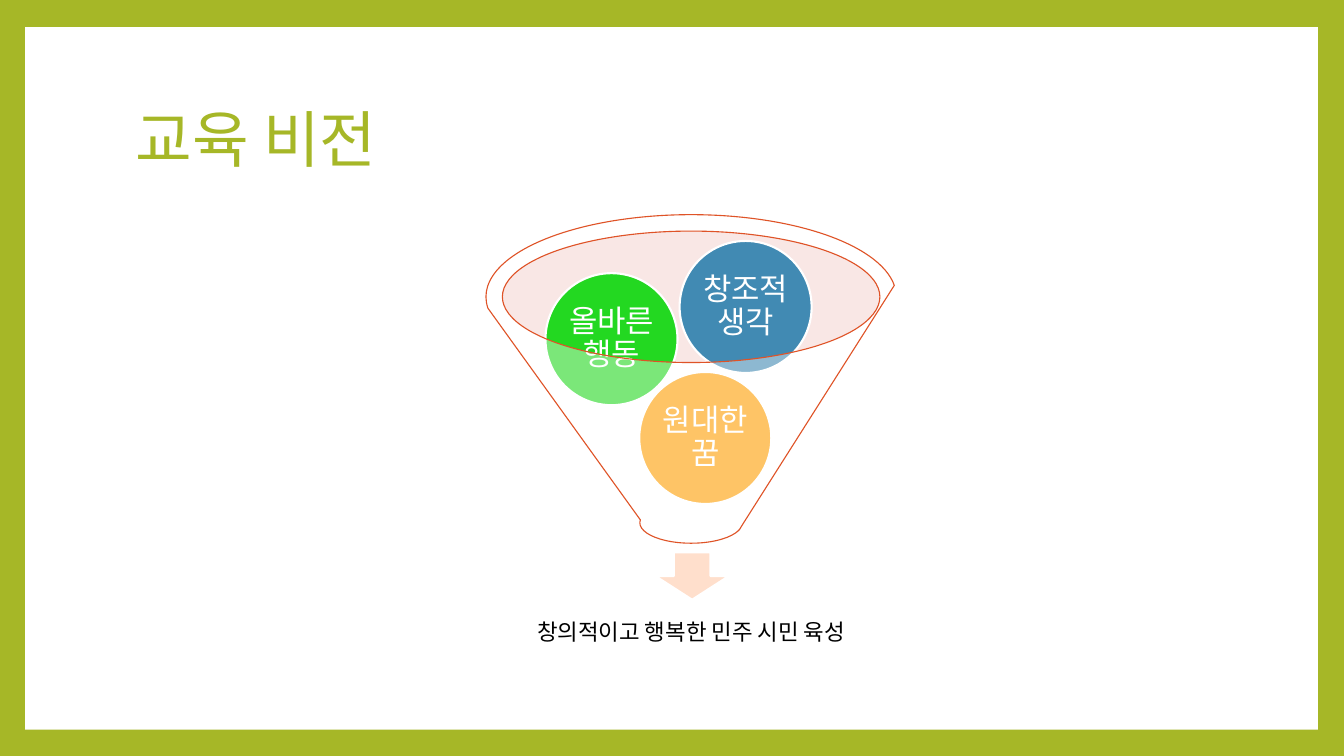
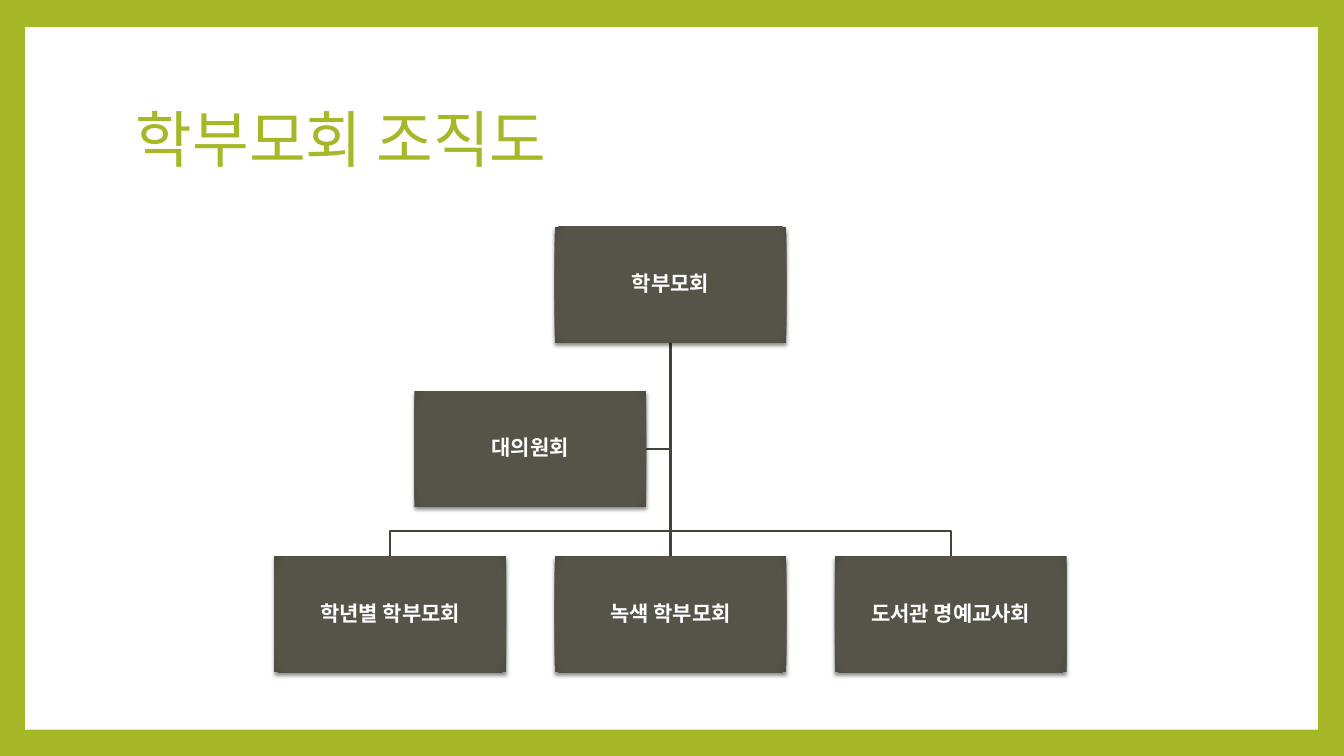
"""Build two school slides: the education vision funnel and the parents' association chart."""
from lxml import etree
from pptx import Presentation
from pptx import util as u
from pptx.dml.color import RGBColor
from pptx.enum import shapes, text
from pptx.oxml import ns, parse_xml


class Theme:
    font = "Noto Sans CJK KR"
    green, white, black = "A6B727", "FFFFFF", "000000"
    rose, peach, rust = "F0C3BE", "FFDFCC", "DF5327"
    gold, lime, blue = "FE9E00", "23D821", "418AB3"
    slate, edge, wire = "565349", "4F4C41", "45423A"
    head, ball, goal, box = 44, 22, 16, 15
    thin, rule = 0.79, 1.5


def write(shape, words, size, color, align=text.PP_ALIGN.CENTER, inset=0.03, bold=False):
    frame = shape.text_frame
    frame.word_wrap = True
    frame.vertical_anchor = text.MSO_ANCHOR.MIDDLE
    if inset is not None:
        frame.margin_left = frame.margin_right = u.Inches(inset)
        frame.margin_top = frame.margin_bottom = u.Inches(inset)
    para = frame.paragraphs[0]
    para.alignment = align
    para.line_spacing = 0.9
    run = para.add_run()
    run.text = words
    run.font.size = u.Pt(size)
    run.font.bold = bold
    run.font.color.rgb = RGBColor.from_string(color)
    run.font.name = Theme.font
    etree.SubElement(run._r.get_or_add_rPr(), ns.qn("a:ea"), typeface=Theme.font)


def draw(slide, kind, place, fill, line=None, width=Theme.rule, alpha=None):
    shape = slide.shapes.add_shape(kind, *map(u.Inches, place))
    shape.shadow.inherit = False
    shape.fill.solid()
    shape.fill.fore_color.rgb = RGBColor.from_string(fill)
    if alpha:
        tint = shape._element.spPr.find(".//" + ns.qn("a:srgbClr"))
        etree.SubElement(tint, ns.qn("a:alpha"), val=str(alpha * 1000))
    if line:
        shape.line.color.rgb = RGBColor.from_string(line)
        shape.line.width = u.Pt(width)
    else:
        shape.line.fill.background()
    return shape


kinds = shapes.MSO_SHAPE
prs = Presentation()
prs.slide_width, prs.slide_height = u.Inches(13.33), u.Inches(7.5)
back = prs.slide_master.background.fill
back.solid()
back.fore_color.rgb = RGBColor.from_string(Theme.green)

pages = []
for title in ("교육 비전", "학부모회 조직도"):
    slide = prs.slides.add_slide(prs.slide_layouts[6])
    draw(slide, kinds.RECTANGLE, (0.25, 0.27, 12.82, 6.97), Theme.white)
    head = slide.shapes.add_textbox(*map(u.Inches, (1.25, 0.67, 10.8, 1.48)))
    write(head, title, Theme.head, Theme.green, text.PP_ALIGN.LEFT, None)
    pages.append(slide)
vision, chart = pages

draw(vision, kinds.OVAL, (4.98, 2.29, 3.75, 1.3), Theme.rose, alpha=40)
draw(vision, kinds.DOWN_ARROW, (6.5, 5.48, 0.73, 0.47), Theme.peach, Theme.white)
goal = vision.shapes.add_textbox(*map(u.Inches, (5.11, 5.85, 3.49, 0.87)))
write(goal, "창의적이고 행복한 민주 시민 육성", Theme.goal, Theme.black, inset=0.12)
balls = (
    ("원대한 꿈", 6.34, 3.69, Theme.gold),
    ("올바른 행동", 5.41, 2.71, Theme.lime),
    ("창조적 생각", 6.74, 2.39, Theme.blue),
)
for words, left, top, color in balls:
    ball = draw(vision, kinds.OVAL, (left, top, 1.31, 1.31), color, Theme.white)
    write(ball, words, Theme.ball, Theme.white)
draw(vision, kinds.FUNNEL, (4.82, 2.13, 4.07, 3.26), Theme.white, Theme.rust, Theme.thin, 40)

wide, high, step = 2.3, 1.15, 2.78
mid, top, side, low = 6.65, 2.25, 3.88, 5.52
foot, bend = top + high, 5.27
aide = 4.11
paths = [[(mid, side + high / 2), (aide + wide, side + high / 2)]]
paths += [[(mid, bend), (x, bend), (x, low)] for x in (mid + step, mid - step)]
for path in paths:
    pen = chart.shapes.build_freeform(u.Inches(mid), u.Inches(foot))
    pen.add_line_segments([(u.Inches(x), u.Inches(y)) for x, y in path], close=False)
    wire = pen.convert_to_shape()
    wire.shadow.inherit = False
    wire.fill.background()
    wire.line.color.rgb = RGBColor.from_string(Theme.wire)
    wire.line.width = u.Pt(Theme.rule)
stem = chart.shapes.add_connector(
    shapes.MSO_CONNECTOR.STRAIGHT, *map(u.Inches, (mid, foot, mid, low)))
stem.line.color.rgb = RGBColor.from_string(Theme.wire)
stem.line.width = u.Pt(Theme.rule)
etree.SubElement(stem._element.spPr, ns.qn("a:effectLst"))

stops = ((0, Theme.slate), (90, Theme.slate), (100, Theme.edge))
marks = "".join(
    f'<a:gs pos="{pos * 1000}"><a:srgbClr val="{color}"/></a:gs>' for pos, color in stops)
shade = (
    f'<a:gradFill {ns.nsdecls("a")}><a:gsLst>{marks}</a:gsLst><a:path path="circle">'
    '<a:fillToRect l="100000" t="100000" r="100000" b="100000"/></a:path></a:gradFill>')
cast = (
    f'<a:outerShdw {ns.nsdecls("a")} blurRad="{u.Pt(3)}" dist="{u.Pt(2)}" dir="5400000" '
    f'rotWithShape="0"><a:srgbClr val="{Theme.black}"><a:alpha val="45000"/></a:srgbClr>'
    '</a:outerShdw>')
first = mid - wide / 2
units = [("학부모회", first, top)]
teams = ("학년별 학부모회", "녹색 학부모회", "도서관 명예교사회")
units += [(name, first + (i - 1) * step, low) for i, name in enumerate(teams)]
units.append(("대의원회", aide, side))
for name, left, y in units:
    box = draw(chart, kinds.RECTANGLE, (left, y, wide, high), Theme.slate)
    props = box._element.spPr
    props.replace(props.find(ns.qn("a:solidFill")), parse_xml(shade))
    props.find(ns.qn("a:effectLst")).append(parse_xml(cast))
    write(box, name, Theme.box, Theme.white, inset=0.01, bold=True)

prs.save("out.pptx")
